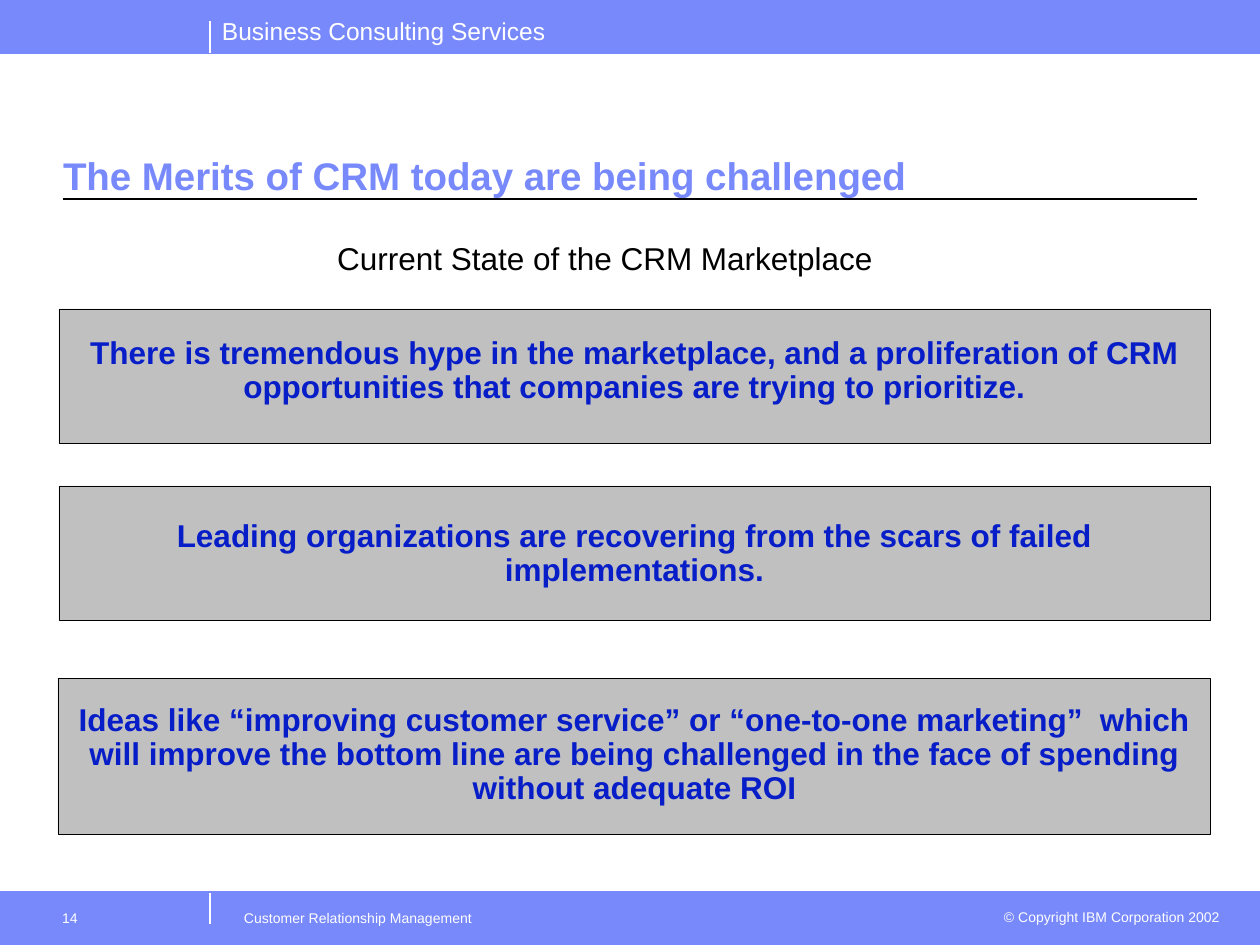
from dataclasses import dataclass

from lxml.etree import SubElement
from pptx import Presentation
from pptx.dml.color import RGBColor
from pptx.enum.shapes import MSO_CONNECTOR, MSO_SHAPE
from pptx.enum.text import MSO_ANCHOR, MSO_AUTO_SIZE, PP_ALIGN
from pptx.oxml.ns import qn
from pptx.util import Pt


@dataclass(frozen=True)
class Theme:
    font: str = "Arial"
    accent: RGBColor = RGBColor(0x78, 0x89, 0xFB)
    statement: RGBColor = RGBColor(0x06, 0x1D, 0xC8)
    panel: RGBColor = RGBColor(0xC0, 0xC0, 0xC0)
    black: RGBColor = RGBColor(0, 0, 0)
    white: RGBColor = RGBColor(0xFF, 0xFF, 0xFF)
    title_size: Pt = Pt(22)
    body_size: Pt = Pt(18)
    brand_size: Pt = Pt(14)
    footer_size: Pt = Pt(8)


theme = Theme()
PX = 914400 / 126
WIDTH, HEIGHT, BAR = 1260, 945, 53


def emu(*lengths):
    return [round(length * PX) for length in lengths]


def write(shape, texts, size, color, margins, bold=False, wrap=True,
          anchor=MSO_ANCHOR.TOP, **paragraph_format):
    frame = shape.text_frame
    left, top, right, bottom = emu(*margins)
    frame_format = {
        "margin_left": left, "margin_top": top, "margin_right": right, "margin_bottom": bottom,
        "word_wrap": wrap, "auto_size": MSO_AUTO_SIZE.NONE, "vertical_anchor": anchor,
    }
    for name, value in frame_format.items():
        setattr(frame, name, value)
    frame.text = "\n".join(texts)
    for index, paragraph in enumerate(frame.paragraphs):
        for name, value in paragraph_format.items():
            if index or name != "space_before":
                setattr(paragraph, name, value)
        font = paragraph.runs[0].font
        for name, value in {"name": theme.font, "size": size, "bold": bold}.items():
            setattr(font, name, value)
        font.color.rgb = color


presentation = Presentation()
presentation.slide_width, presentation.slide_height = emu(WIDTH, HEIGHT)
slide = presentation.slides.add_slide(presentation.slide_layouts[5])

rectangles = [
    ((0, HEIGHT - BAR, WIDTH, BAR), theme.accent, theme.accent, 0.75),
    ((0, 0, WIDTH, BAR), theme.accent, theme.accent, 0.75),
    ((59, 309, 1152, 135), theme.panel, theme.black, 0.5),
    ((59, 486, 1152, 135), theme.panel, theme.black, 0.5),
    ((58, 678, 1152, 156), theme.panel, theme.black, 0.5),
]
for bounds, fill, outline, weight in rectangles:
    shape = slide.shapes.add_shape(MSO_SHAPE.RECTANGLE, *emu(*bounds))
    shape.shadow.inherit = False
    shape.fill.solid()
    shape.fill.fore_color.rgb = fill
    shape.line.color.rgb = outline
    shape.line.width = Pt(weight)

rules = [
    ((210, BAR, 210, 21), theme.white, 0.75),
    ((210, 924, 210, HEIGHT - BAR), theme.white, 0.75),
    ((0, BAR, WIDTH, BAR), theme.accent, 0.5),
    ((0, HEIGHT - BAR, WIDTH, HEIGHT - BAR), theme.accent, 0.5),
    ((63, 199, 1197, 199), theme.black, 0.75),
]
for ends, color, weight in rules:
    rule = slide.shapes.add_connector(MSO_CONNECTOR.STRAIGHT, *emu(*ends))
    rule.line.color.rgb = color
    rule.line.width = Pt(weight)
    SubElement(rule.element.spPr, qn("a:effectLst"))

title = slide.shapes.title
title.left, title.top, title.width, title.height = emu(63, 88, 1134, 116)
write(title, ["The Merits of CRM today are being challenged"], theme.title_size, theme.accent,
      (0, 6, 0, 6), bold=True, anchor=MSO_ANCHOR.BOTTOM,
      alignment=PP_ALIGN.LEFT, line_spacing=0.85)

statements = [
    "There is tremendous hype in the marketplace, and a proliferation of CRM "
    "opportunities that companies are trying to prioritize.",
    "Leading organizations are recovering from the scars of failed implementations.",
    "Ideas like “improving customer service” or “one-to-one marketing”  which will improve "
    "the bottom line are being challenged in the face of spending without adequate ROI",
]
body = slide.shapes.add_textbox(*emu(63, 281, 1143, 631))
write(body, statements, theme.body_size, theme.statement, (6, 56, 6, 6), bold=True,
      alignment=PP_ALIGN.CENTER, line_spacing=0.9, space_before=Pt(66))

labels = [
    ("Business Consulting Services", (209, 10, 349, 43), theme.brand_size, theme.white,
     (13, 6, 13, 6), PP_ALIGN.LEFT, False),
    ("Current State of the CRM Marketplace", (302, 233, 606, 50), theme.body_size, theme.black,
     (13, 6, 13, 6), PP_ALIGN.CENTER, True),
    ("14", (42, 901, 168, 44), theme.footer_size, theme.white,
     (20, 9, 13, 6), PP_ALIGN.LEFT, True),
    ("Customer Relationship Management", (231, 901, 756, 44), theme.footer_size, theme.white,
     (13, 9, 13, 6), PP_ALIGN.LEFT, True),
    ("© Copyright IBM Corporation 2002", (987, 903, 246, 30), theme.footer_size, theme.white,
     (13, 6, 13, 6), PP_ALIGN.RIGHT, True),
]
for text, bounds, size, color, margins, alignment, wrap in labels:
    label = slide.shapes.add_textbox(*emu(*bounds))
    write(label, [text], size, color, margins, wrap=wrap, alignment=alignment)

presentation.save("out.pptx")
